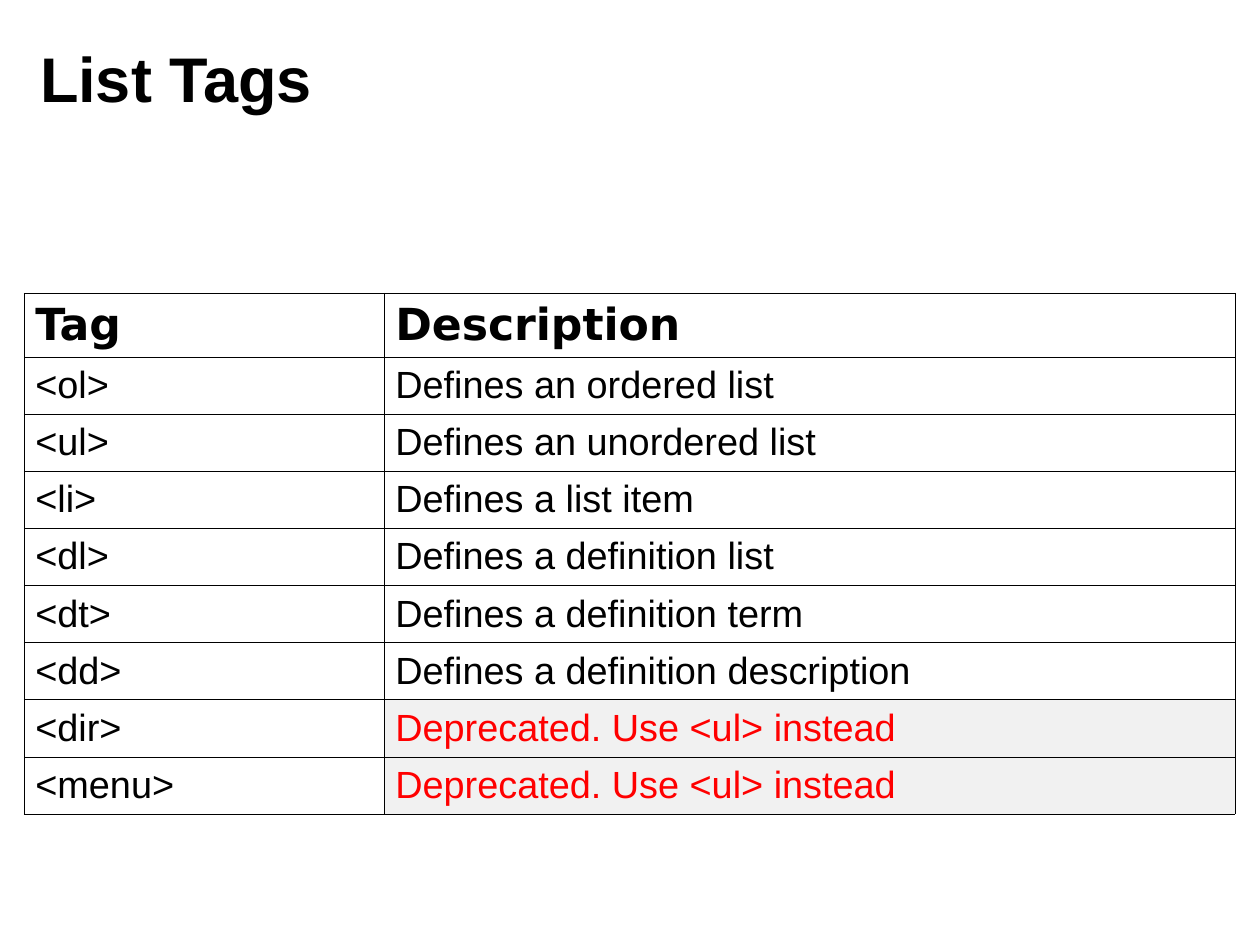
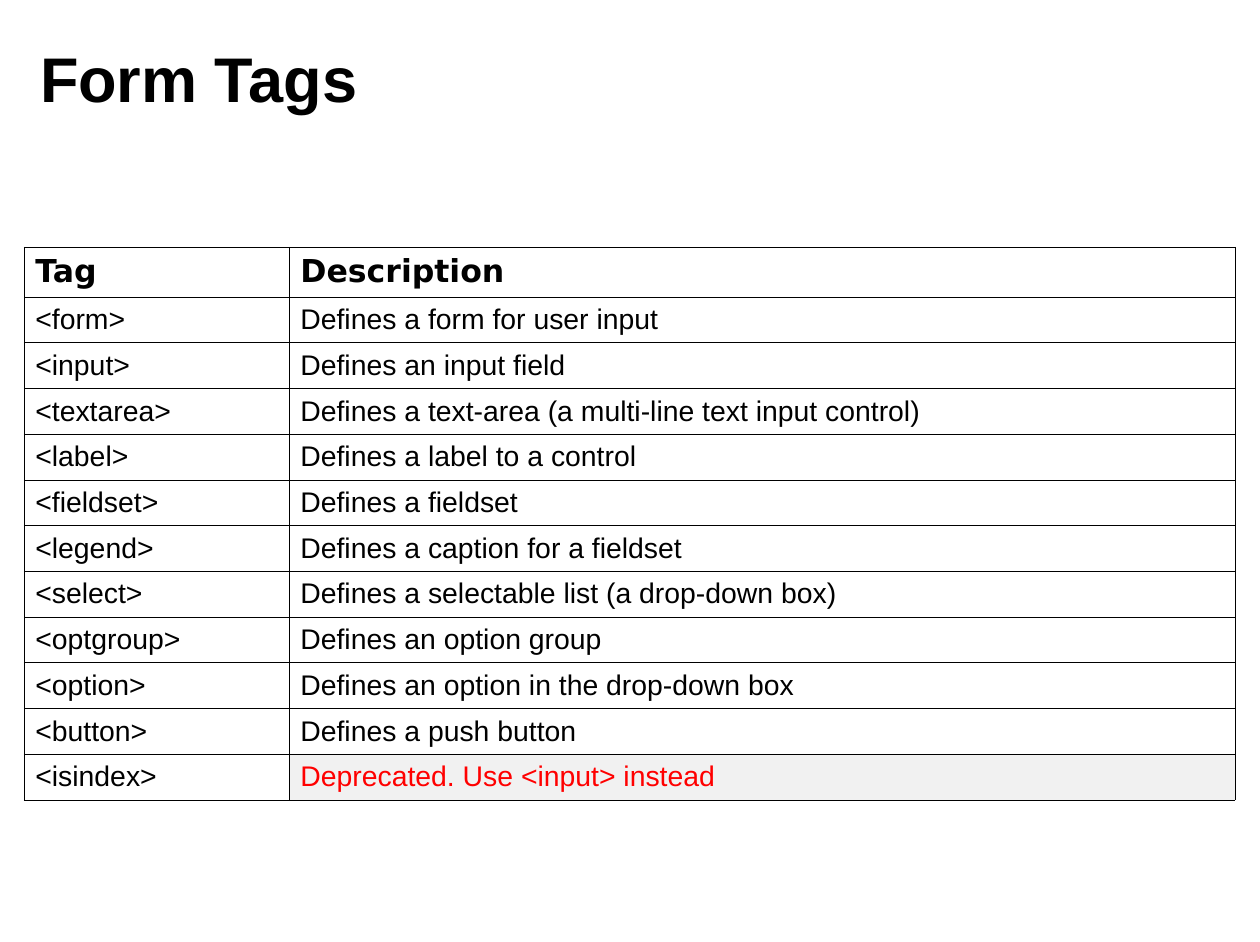
from lxml import etree
from pptx import Presentation
from pptx.dml.color import RGBColor
from pptx.enum.text import MSO_ANCHOR, PP_ALIGN
from pptx.oxml.ns import qn
from pptx.util import Pt

MIDDLE = MSO_ANCHOR.MIDDLE
LEFT = PP_ALIGN.LEFT
EMU_PER_PX = 914400 / 113.5
TITLE_ONLY = 5

LIST_TAGS = [
    ("<ol>", "Defines an ordered list"),
    ("<ul>", "Defines an unordered list"),
    ("<li>", "Defines a list item"),
    ("<dl>", "Defines a definition list"),
    ("<dt>", "Defines a definition term"),
    ("<dd>", "Defines a definition description"),
    ("<dir>", "Deprecated. Use <ul> instead"),
    ("<menu>", "Deprecated. Use <ul> instead"),
]

FORM_TAGS = [
    ("<form>", "Defines a form for user input"),
    ("<input>", "Defines an input field"),
    ("<textarea>", "Defines a text-area (a multi-line text input control)"),
    ("<label>", "Defines a label to a control"),
    ("<fieldset>", "Defines a fieldset"),
    ("<legend>", "Defines a caption for a fieldset"),
    ("<select>", "Defines a selectable list (a drop-down box)"),
    ("<optgroup>", "Defines an option group"),
    ("<option>", "Defines an option in the drop-down box"),
    ("<button>", "Defines a push button"),
    ("<isindex>", "Deprecated. Use <input> instead"),
]


def px(length):
    return round(length * EMU_PER_PX)


def rgb(value):
    return RGBColor.from_string(value)


class Deck:
    TEXT = "000000"
    WARNING = "FF0000"
    PAPER = "FFFFFF"
    SHADE = "F1F1F1"
    BODY_FONT = "Arial"
    HEADER_FONT = "DejaVu Sans"
    TITLE_SIZE = 40
    BORDER_WIDTH = Pt(0.34)
    TABLE_LEFT = 24
    TABLE_WIDTH = 1211

    def __init__(self, width, height):
        self.presentation = Presentation()
        self.presentation.slide_width = px(width)
        self.presentation.slide_height = px(height)
        self.slide = None

    def add_slide(self, title):
        layout = self.presentation.slide_layouts[TITLE_ONLY]
        self.slide = self.presentation.slides.add_slide(layout)
        shape = self.slide.shapes.title
        shape.left, shape.top = px(28), px(19)
        shape.width, shape.height = px(1012), px(116)
        frame = shape.text_frame
        frame.margin_left = frame.margin_right = px(12)
        frame.margin_top = frame.margin_bottom = px(6)
        frame.vertical_anchor = MIDDLE
        frame.text = title
        self.style(frame.paragraphs[0], self.TITLE_SIZE, self.BODY_FONT, bold=True)

    def style(self, paragraph, size, font_name, color=TEXT, bold=False):
        paragraph.alignment = LEFT
        font = paragraph.font
        font.size = Pt(size)
        font.name = font_name
        font.bold = bold
        font.color.rgb = rgb(color)

    def add_borders(self, cell):
        properties = cell._tc.get_or_add_tcPr()
        for side in ("lnL", "lnR", "lnT", "lnB"):
            line = etree.SubElement(properties, qn(f"a:{side}"), w=str(self.BORDER_WIDTH))
            fill = etree.SubElement(line, qn("a:solidFill"))
            etree.SubElement(fill, qn("a:srgbClr"), val=self.TEXT)

    def fill_cell(self, cell, text, size, is_header):
        deprecated = text.startswith("Deprecated")
        self.add_borders(cell)
        cell.fill.solid()
        cell.fill.fore_color.rgb = rgb(self.SHADE if deprecated else self.PAPER)
        cell.vertical_anchor = MIDDLE
        cell.text = text
        self.style(
            cell.text_frame.paragraphs[0],
            size,
            self.HEADER_FONT if is_header else self.BODY_FONT,
            self.WARNING if deprecated else self.TEXT,
            is_header,
        )

    def add_tag_table(self, tags, top, height, header_height, tag_width, header_size, body_size):
        rows = [("Tag", "Description"), *tags]
        table = self.slide.shapes.add_table(
            len(rows), 2, px(self.TABLE_LEFT), px(top), px(self.TABLE_WIDTH), px(height)
        ).table
        table.first_row = table.horz_banding = False
        table.columns[0].width = px(tag_width)
        table.columns[1].width = px(self.TABLE_WIDTH - tag_width)
        body_height = (height - header_height) / len(tags)
        for row_index, row in enumerate(rows):
            is_header = row_index == 0
            table.rows[row_index].height = px(header_height if is_header else body_height)
            size = header_size if is_header else body_size
            for column_index, text in enumerate(row):
                self.fill_cell(table.cell(row_index, column_index), text, size, is_header)


def main():
    deck = Deck(1260, 942)
    deck.add_slide("List Tags")
    deck.add_tag_table(LIST_TAGS, top=293, height=521, header_height=64,
                       tag_width=360, header_size=28, body_size=24)
    deck.add_slide("Form Tags")
    deck.add_tag_table(FORM_TAGS, top=247, height=553, header_height=50,
                       tag_width=265, header_size=20, body_size=18)
    deck.presentation.save("out.pptx")


if __name__ == "__main__":
    main()
